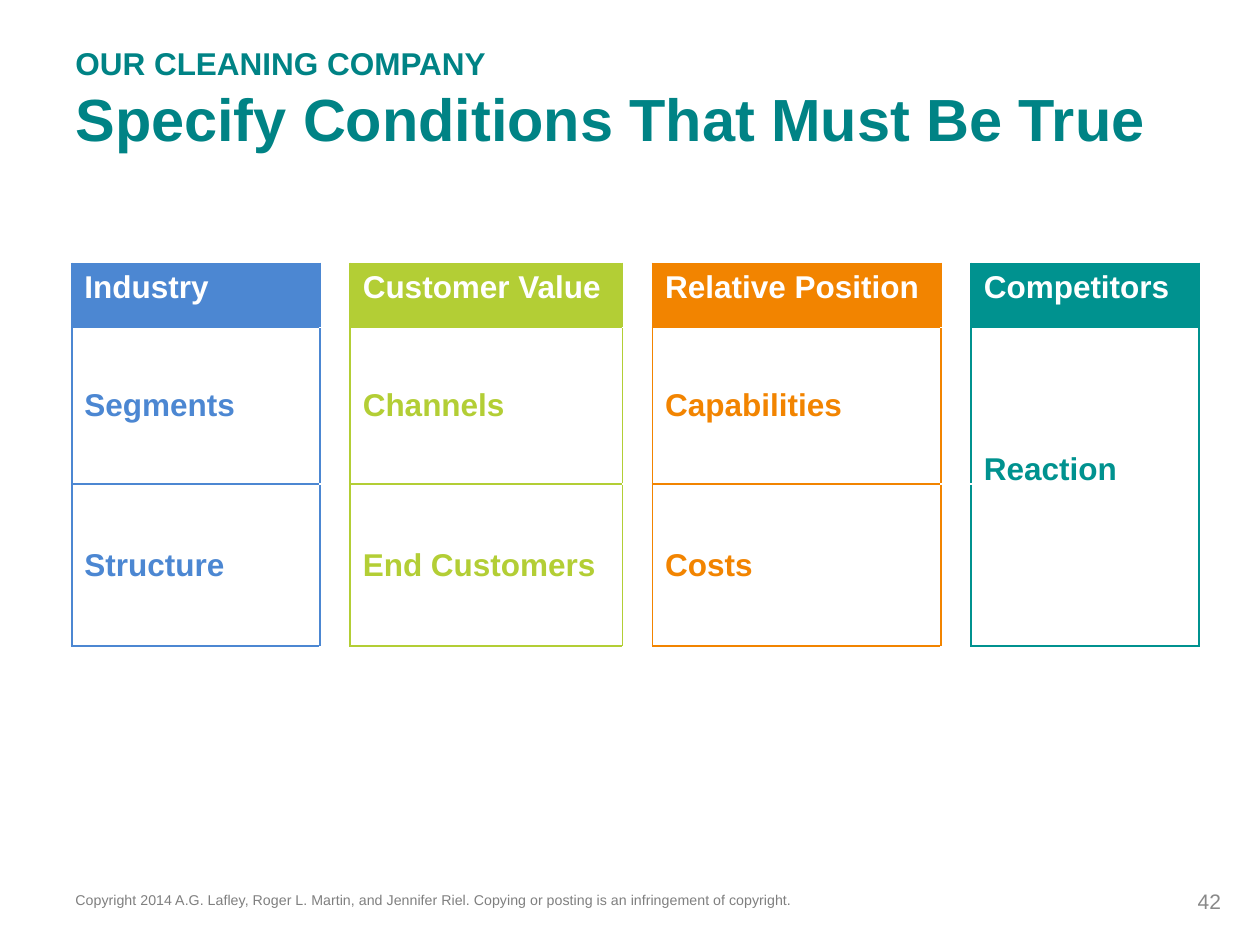
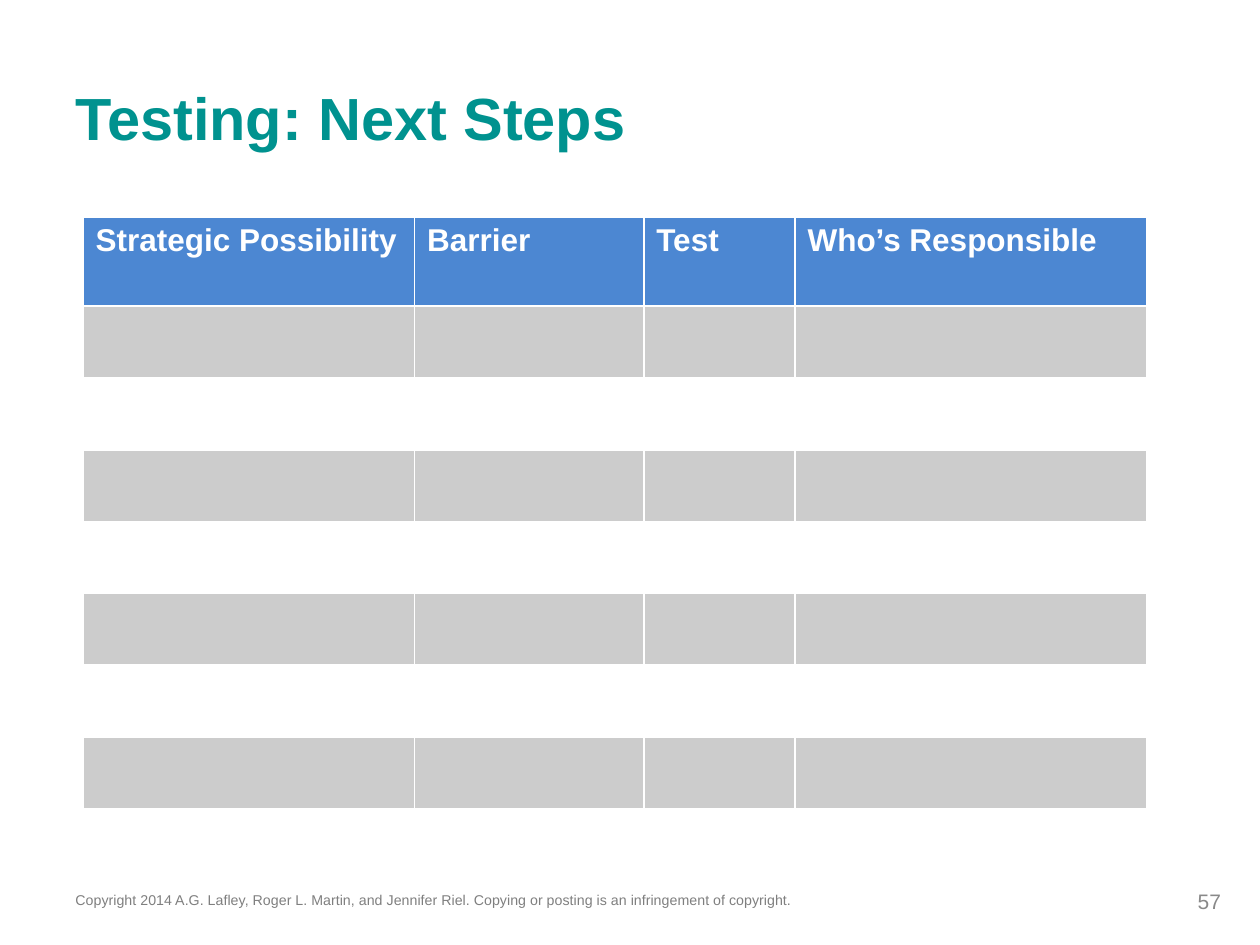
from lxml import etree
from pptx import Presentation
from pptx.dml.color import RGBColor
from pptx.enum.text import MSO_ANCHOR, PP_ALIGN
from pptx.oxml.ns import qn
from pptx.util import Inches, Pt

TOP, MIDDLE = MSO_ANCHOR.TOP, MSO_ANCHOR.MIDDLE
LEFT, RIGHT = PP_ALIGN.LEFT, PP_ALIGN.RIGHT

# Shared look
FONT = "Arial"
WHITE, BLUE, LIME, ORANGE, TEAL = "FFFFFF", "4C87D2", "B3CE35", "F28400", "00928F"
DARK_TEAL, BAND_GREY = "008385", "CCCCCC"
EYEBROW = {"size": Pt(18), "bold": True}
TITLE = {"size": Pt(34), "bold": True}
TABLE_TEXT = {"size": Pt(18), "bold": True}
FOOTER, FOOTER_COLOR = {"size": Pt(14)}, "7F7F7F"
NUMBER, NUMBER_COLOR = {"size": Pt(12)}, "898989"
BORDER_WIDTH = Pt(1.08)
COPYRIGHT = ("Copyright 2014 A.G. Lafley, Roger L. Martin, and Jennifer Riel. "
             "Copying or posting is an infringement of copyright.")

# Condition columns: heading, colour, width, topics below the heading
CONDITIONS = [
    ("Industry", BLUE, 1.97, ["Segments", "Structure"]),
    ("Customer Value", LIME, 2.16, ["Channels", "End Customers"]),
    ("Relative Position", ORANGE, 2.29, ["Capabilities", "Costs"]),
    ("Competitors", TEAL, 1.81, ["Reaction"]),
]
CONDITION_GAP = 0.24
CONDITION_ROWS = [0.51, 1.24, 1.29]

# Next-step columns: heading, width
NEXT_STEPS = [("Strategic Possibility", 2.63), ("Barrier", 1.82),
              ("Test", 1.2), ("Who’s Responsible", 2.79)]
STEP_ROWS = [0.71] + [0.57] * 7


def rgb(color):
    return RGBColor.from_string(color)


def write(paragraph, text, style, color):
    run = paragraph.add_run()
    run.text = text
    run.font.name = FONT
    run.font.color.rgb = rgb(color)
    for name, value in style.items():
        setattr(run.font, name, value)
    return run


def add_text(slide, box, lines, color, anchor=TOP, align=LEFT):
    """Add a text box with one paragraph per (text, style) pair."""
    frame = slide.shapes.add_textbox(*map(Inches, box)).text_frame
    frame.word_wrap = True
    frame.vertical_anchor = anchor
    for index, (text, style) in enumerate(lines):
        paragraph = frame.add_paragraph() if index else frame.paragraphs[0]
        paragraph.alignment = align
        run = write(paragraph, text, style, color)
    return run


def add_footer(slide, number):
    run = add_text(slide, (0.5, 7, 7.37, 0.34), [(COPYRIGHT, FOOTER)], FOOTER_COLOR)
    run.font._element.set("baseline", "30000")
    add_text(slide, (7.46, 6.95, 2.33, 0.4), [(number, NUMBER)], NUMBER_COLOR, MIDDLE, RIGHT)


def add_grid(slide, left, top, widths, heights):
    frame = slide.shapes.add_table(
        len(heights), len(widths), Inches(left), Inches(top),
        Inches(sum(widths)), Inches(sum(heights)))
    table = frame.table
    table.first_row = table.horz_banding = False
    for column, width in zip(table.columns, widths):
        column.width = Inches(width)
    for row, height in zip(table.rows, heights):
        row.height = Inches(height)
    return table


def style_cell(cell, fill, borders):
    """Draw the borders, a dict of side to colour, and then the fill."""
    properties = cell._tc.get_or_add_tcPr()
    for side, color in borders.items():
        line = etree.SubElement(properties, qn(f"a:ln{side}"), w=str(BORDER_WIDTH))
        solid = etree.SubElement(line, qn("a:solidFill"))
        etree.SubElement(solid, qn("a:srgbClr"), val=color)
    if fill:
        cell.fill.solid()
        cell.fill.fore_color.rgb = rgb(fill)
    else:
        cell.fill.background()


def add_conditions_table(slide):
    widths = []
    for _, _, width, _ in CONDITIONS:
        widths += [width, CONDITION_GAP]
    table = add_grid(slide, 0.57, 2.09, widths[:-1], CONDITION_ROWS)
    last_row = len(CONDITION_ROWS) - 1

    for index, (heading, color, _, topics) in enumerate(CONDITIONS):
        column = 2 * index
        for row in range(len(CONDITION_ROWS)):
            cell = table.cell(row, column)
            style_cell(cell, WHITE if row else color, dict.fromkeys("LRTB", color))
            if index:
                gap_borders = {"L": CONDITIONS[index - 1][1], "R": color}
                style_cell(table.cell(row, column - 1), WHITE, gap_borders)
        write(table.cell(0, column).text_frame.paragraphs[0], heading, TABLE_TEXT, WHITE)
        for row, topic in enumerate(topics, start=1):
            cell = table.cell(row, column)
            cell.vertical_anchor = MIDDLE
            write(cell.text_frame.paragraphs[0], topic, TABLE_TEXT, color)
        # A single topic fills the whole body and sits a little above its middle
        if len(topics) == 1:
            cell.merge(table.cell(last_row, column))
            cell.margin_bottom = Inches(0.33)


def add_next_steps_table(slide):
    table = add_grid(slide, 0.66, 1.72, [width for _, width in NEXT_STEPS], STEP_ROWS)
    for column, (heading, _) in enumerate(NEXT_STEPS):
        for row in range(len(STEP_ROWS)):
            fill = BLUE if row == 0 else BAND_GREY if row % 2 else None
            style_cell(table.cell(row, column), fill, dict.fromkeys("LRTB", WHITE))
        write(table.cell(0, column).text_frame.paragraphs[0], heading, TABLE_TEXT, WHITE)


def main():
    presentation = Presentation()
    presentation.slide_width, presentation.slide_height = Inches(10), Inches(7.5)
    blank = presentation.slide_layouts[6]

    # Conditions
    slide = presentation.slides.add_slide(blank)
    add_conditions_table(slide)
    add_text(slide, (0.5, 0.3, 9.69, 1.25),
             [("OUR CLEANING COMPANY", EYEBROW),
              ("Specify Conditions That Must Be True", TITLE)], DARK_TEAL)
    add_footer(slide, "42")

    # Next steps
    slide = presentation.slides.add_slide(blank)
    add_text(slide, (0.5, 0.3, 8.33, 1.25), [("Testing: Next Steps", TITLE)], TEAL, MIDDLE)
    add_next_steps_table(slide)
    add_footer(slide, "57")

    presentation.save("out.pptx")


if __name__ == "__main__":
    main()
